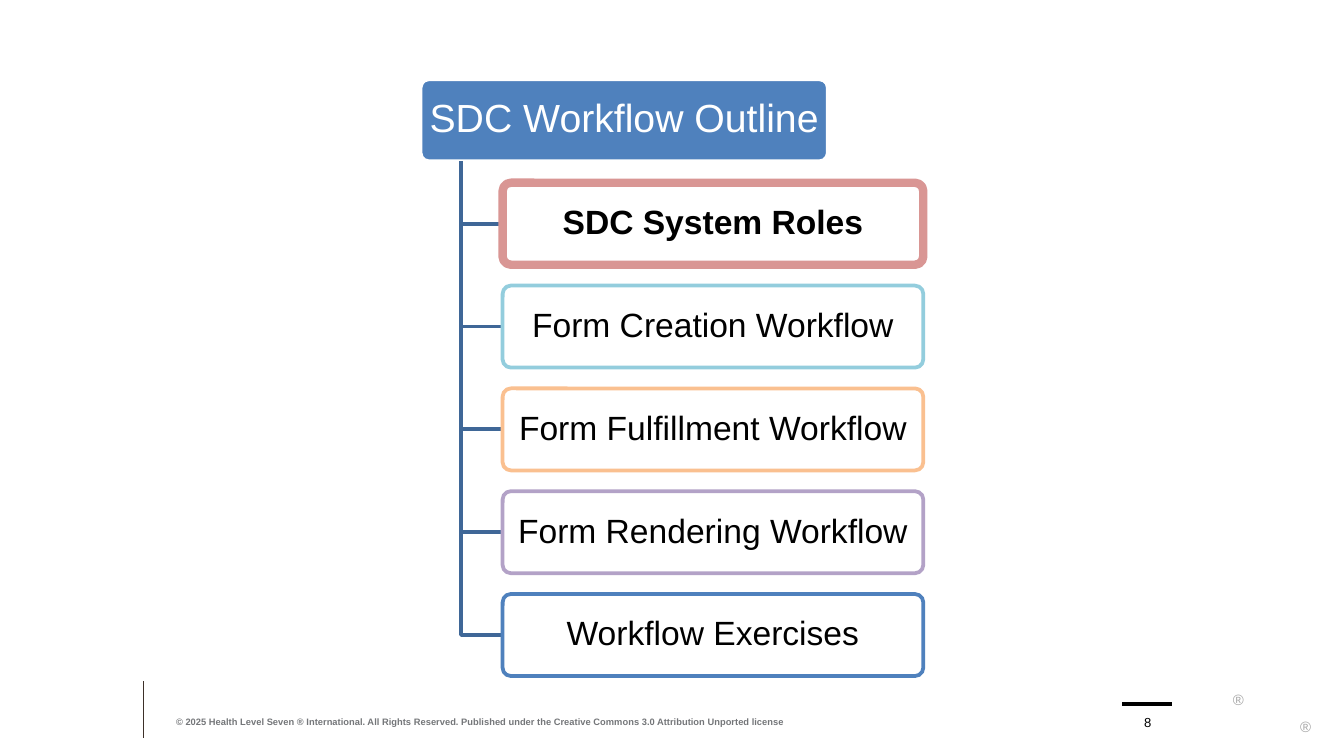
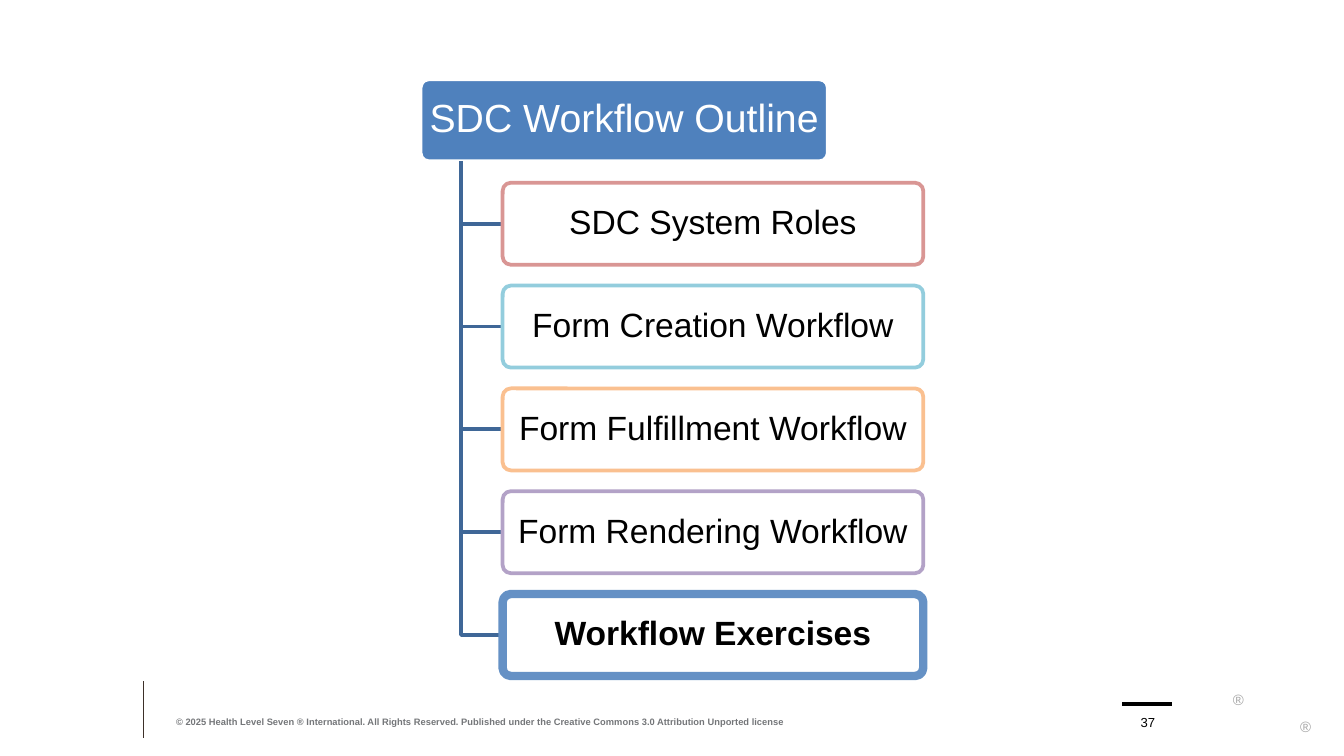
"""Build two outline slides that highlight the current section of the SDC workflow."""
from dataclasses import dataclass

from lxml import etree
from pptx import Presentation
from pptx import util as u
from pptx.dml.color import RGBColor
from pptx.enum import shapes, text
from pptx.oxml.ns import qn

TITLE = "SDC Workflow Outline"
SECTIONS = [
    ("SDC System Roles", "D99694"),
    ("Form Creation Workflow", "93CDDD"),
    ("Form Fulfillment Workflow", "FAC090"),
    ("Form Rendering Workflow", "B3A2C7"),
    ("Workflow Exercises", "4F81BD"),
]
PAGES = [
    {"number": "8", "current": "SDC System Roles", "outline": "D99694"},
    {"number": "37", "current": "Workflow Exercises", "outline": "6591C5"},
]
COPYRIGHT = (
    "© 2025 Health Level Seven ® International. All Rights Reserved. "
    "Published under the Creative Commons 3.0 Attribution Unported license"
)
MARKS = [(9.16, 5.1, 0.11, 0.09), (9.67, 5.3, 0.09, 0.09)]

PAGE_WIDTH = 10
PAGE_HEIGHT = PAGE_WIDTH * 9 / 16
TITLE_BOX = (3.13, 0.59, 3.03, 0.61)
SECTION_LEFT, SECTION_WIDTH, SECTION_HEIGHT = 3.74, 3.13, 0.61
FIRST_TOP, LAST_TOP = 1.36, 4.42
TRUNK_LEFT = 3.43


@dataclass(frozen=True)
class Theme:
    font: str = "Arial"
    title_fill: str = "4F81BD"
    branch: str = "3F6797"
    white: str = "FFFFFF"
    black: str = "000000"
    rule: str = "3D3029"
    footer: str = "747679"
    mark: str = "A6A6A6"
    title_size: float = 21
    section_size: float = 18
    mark_size: float = 8
    number_size: float = 7
    footer_size: float = 5
    line: float = 2
    thin_line: float = 0.5
    thick_line: float = 4.5


THEME = Theme()


def rgb(code):
    return RGBColor.from_string(code)


def inches(*lengths):
    return [u.Inches(length) for length in lengths]


def set_line(item, color, width):
    item.line.color.rgb = rgb(color)
    item.line.width = u.Pt(width)


def write(box, words, size, color, bold=False, align=text.PP_ALIGN.CENTER,
          anchor=text.MSO_ANCHOR.MIDDLE, margins=(0, 0), wrap=True, spacing=None):
    frame = box.text_frame
    frame.word_wrap = wrap
    frame.vertical_anchor = anchor
    frame.margin_left = frame.margin_right = u.Inches(margins[0])
    frame.margin_top = frame.margin_bottom = u.Inches(margins[1])
    para = frame.paragraphs[0]
    para.alignment = align
    if spacing:
        para.line_spacing = spacing
    span = para.add_run()
    span.text = words
    span.font.name = THEME.font
    span.font.size = u.Pt(size)
    span.font.bold = bold
    span.font.color.rgb = rgb(color)


def add_rule(page, ends, color, width):
    rule = page.shapes.add_connector(shapes.MSO_CONNECTOR.STRAIGHT, *inches(*ends))
    set_line(rule, color, width)
    etree.SubElement(rule.element.spPr, qn("a:effectLst"))


def add_footer(page, number):
    add_rule(page, (1.07, 5.07, 1.07, 5.49), THEME.rule, THEME.thin_line)
    for place in MARKS:
        write(page.shapes.add_textbox(*inches(*place)), "®", THEME.mark_size, THEME.mark,
              anchor=text.MSO_ANCHOR.TOP, margins=(0, 0.05), wrap=False)
    add_rule(page, (8.35, 5.24, 8.72, 5.24), THEME.black, THEME.line)
    write(page.shapes.add_textbox(*inches(1.31, 5.24, 4.95, 0.17)), COPYRIGHT,
          THEME.footer_size, THEME.footer, bold=True, align=text.PP_ALIGN.LEFT,
          anchor=text.MSO_ANCHOR.BOTTOM)
    write(page.shapes.add_textbox(*inches(8.39, 5.24, 0.3, 0.19)), number,
          THEME.number_size, THEME.black, anchor=text.MSO_ANCHOR.BOTTOM)


def add_box(page, place, words, size, color, fill, outline, width, bold=False):
    box = page.shapes.add_shape(shapes.MSO_SHAPE.ROUNDED_RECTANGLE, *inches(*place))
    box.adjustments[0] = 0.1
    box.shadow.inherit = False
    box.fill.solid()
    box.fill.fore_color.rgb = rgb(fill)
    set_line(box, outline, width)
    write(box, words, size, color, bold, margins=(0.03, 0.03), spacing=0.9)
    return box


def add_branch(page, middle):
    start = TITLE_BOX[1] + TITLE_BOX[3]
    builder = page.shapes.build_freeform(*inches(TRUNK_LEFT, start))
    builder.add_line_segments(
        [inches(TRUNK_LEFT, middle), inches(SECTION_LEFT, middle)], close=False)
    branch = builder.convert_to_shape()
    branch.shadow.inherit = False
    branch.fill.background()
    set_line(branch, THEME.branch, THEME.line)


def add_outline(page, current, highlight):
    add_box(page, TITLE_BOX, TITLE, THEME.title_size, THEME.white,
            THEME.title_fill, THEME.white, THEME.line)
    pitch = (LAST_TOP - FIRST_TOP) / (len(SECTIONS) - 1)
    for index, (words, color) in enumerate(SECTIONS):
        top = FIRST_TOP + index * pitch
        active = words == current
        add_branch(page, top + SECTION_HEIGHT / 2)
        box = add_box(page, (SECTION_LEFT, top, SECTION_WIDTH, SECTION_HEIGHT), words,
                      THEME.section_size, THEME.black, THEME.white,
                      highlight if active else color,
                      THEME.thick_line if active else THEME.line, active)
        fill = box.element.spPr.find(qn("a:solidFill"))
        etree.SubElement(fill[0], qn("a:alpha"), val="90000")


def main():
    deck = Presentation()
    deck.slide_width, deck.slide_height = inches(PAGE_WIDTH, PAGE_HEIGHT)
    for entry in PAGES:
        page = deck.slides.add_slide(deck.slide_layouts[6])
        add_footer(page, entry["number"])
        add_outline(page, entry["current"], entry["outline"])
    deck.save("out.pptx")


if __name__ == "__main__":
    main()
